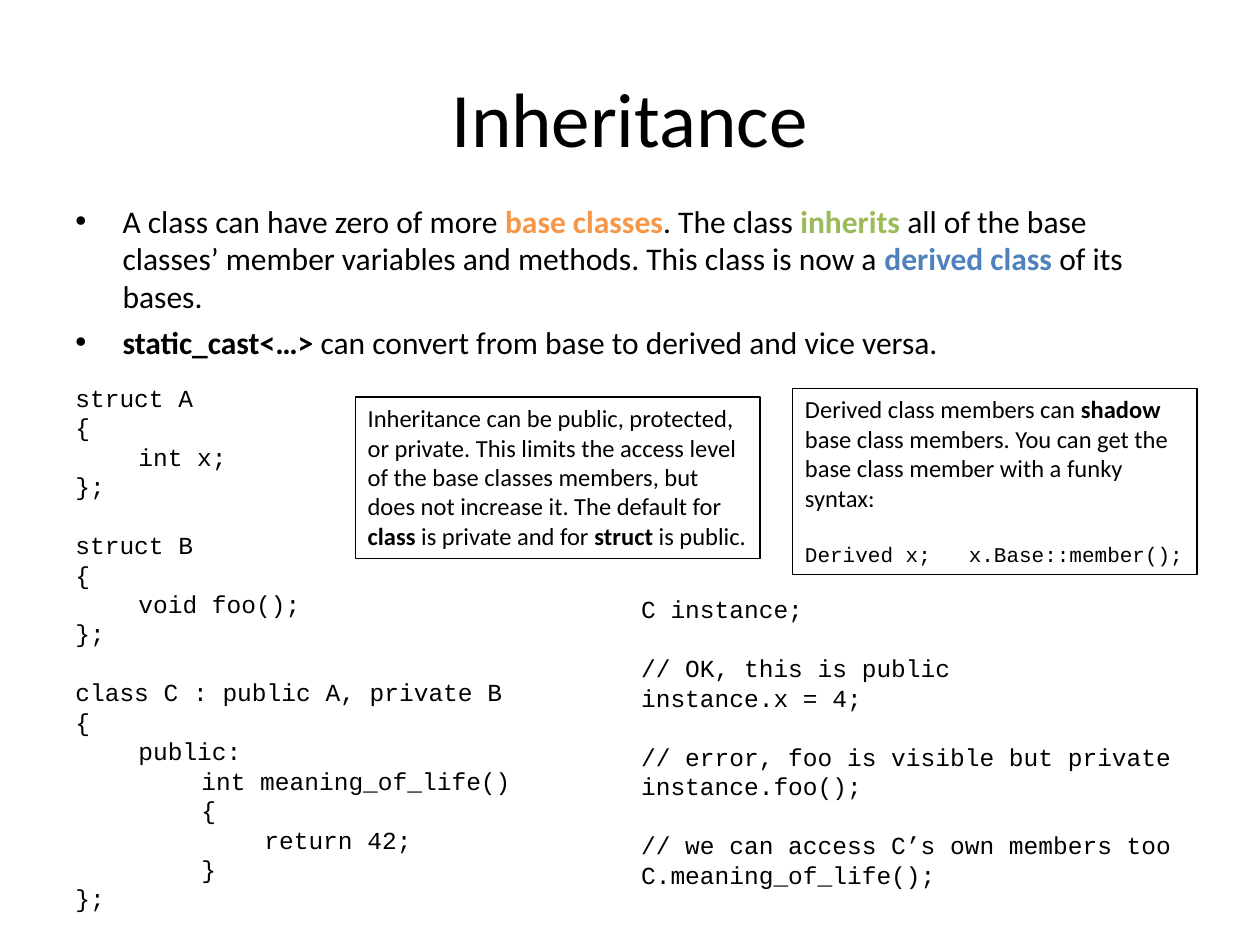
from pptx import Presentation
from pptx.dml.color import RGBColor
from pptx.enum import shapes, text
from pptx.oxml import xmlchemy as x
from pptx.util import Pt
from lxml import etree

BLACK = RGBColor(0x00, 0x00, 0x00)
ORANGE = RGBColor(0xF7, 0x96, 0x46)
GREEN = RGBColor(0x9B, 0xBB, 0x59)
BLUE = RGBColor(0x4F, 0x81, 0xBD)
SANS, MONO = "Calibri", "Courier New"
INDENT = 36
BULLET_INDENT = 27
GAP = 16.9

BULLETS = [
    [("A class can have zero of more ",), ("base classes", ORANGE),
     (". The class ",), ("inherits ", GREEN),
     ("all of the base classes’ member variables and methods. "
      "This class is now a ",), ("derived class", BLUE), (" of its bases.",)],
    [("static_cast<…>", BLACK),
     (" can convert from base to derived and vice versa.",)],
]

# Each block is a list of (indent level, line).
CLASS_CODE = [
    [(0, "struct A"), (0, "{"), (1, "int x;"), (0, "};")],
    [(0, "struct B"), (0, "{"), (1, "void foo();"), (0, "};")],
    [(0, "class C : public A, private B"), (0, "{"), (1, "public:"),
     (2, "int meaning_of_life()"), (2, "{"), (3, "return 42;"), (2, "}"),
     (0, "};")],
]
USAGE_CODE = [
    [(0, "C instance;")],
    [(0, "// OK, this is public"), (0, "instance.x = 4;")],
    [(0, "// error, foo is visible but private"), (0, "instance.foo();")],
    [(0, "// we can access C’s own members too"),
     (0, "C.meaning_of_life();")],
]

ACCESS_NOTE = [
    ("Inheritance can be public, protected, or private. This limits the "
     "access level of the base classes members, but does not increase it. "
     "The default for ",), ("class", BLACK), (" is private and for ",),
    ("struct", BLACK), (" is public.",)]
SHADOW_NOTE = [
    ("Derived class members can ",), ("shadow ", BLACK),
    ("base class members. You can get the base class member with a funky "
     "syntax:",)]


def add_run(p, words, size, font=SANS, color=BLACK, bold=False):
    """Append one formatted run to a paragraph."""
    r = p.add_run()
    r.text = words
    r.font.size, r.font.name, r.font.bold = Pt(size), font, bold
    r.font.color.rgb = color


def add_rich(p, parts, size):
    """Append parts; a part that names a colour is emphasised in bold."""
    for words, *emphasis in parts:
        add_run(p, words, size, color=emphasis[0] if emphasis else BLACK,
                bold=bool(emphasis))


def next_paragraph(tf):
    """Return the unused first paragraph, or a new one."""
    first = tf.paragraphs[0]
    return tf.add_paragraph() if first.runs else first


def sub(parent, tag, **attrs):
    """Append a DrawingML child element."""
    ns = "{http://schemas.openxmlformats.org/drawingml/2006/main}"
    return etree.SubElement(parent, ns + tag, attrs)


def set_indent(p, left, first=0):
    """Set the left margin and first-line indent; return the properties."""
    props = p._p.get_or_add_pPr()
    props.set("marL", str(Pt(left)))
    props.set("indent", str(Pt(first)))
    return props


def add_box(s, *frame):
    """Add a wrapping text box and return its text frame."""
    tf = s.shapes.add_textbox(*map(Pt, frame)).text_frame
    tf.word_wrap = True
    return tf


def add_title(s, words):
    """Add the centred slide title."""
    tf = add_box(s, 36, 21.6, 648, 90)
    tf.vertical_anchor = text.MSO_ANCHOR.MIDDLE
    tf.paragraphs[0].alignment = text.PP_ALIGN.CENTER
    add_run(tf.paragraphs[0], words, 44)


def add_bullets(s, items):
    """Add the bulleted body text."""
    tf = add_box(s, 36, 111.6, 648, 356.4)
    for i, parts in enumerate(items):
        p = next_paragraph(tf)
        p.space_before = Pt(4.4 if i else 0)
        props = set_indent(p, BULLET_INDENT, -BULLET_INDENT)
        sub(props, "buFont", typeface="Arial")
        sub(props, "buChar", char="•")
        add_rich(p, parts, 18)


def add_code(s, blocks, *frame):
    """Add code whose blocks are set apart by one line of space."""
    tf = add_box(s, *frame)
    for b, block in enumerate(blocks):
        for i, (level, line) in enumerate(block):
            p = next_paragraph(tf)
            set_indent(p, level * INDENT)
            if b and i == 0:
                p.space_before = Pt(GAP)
            add_run(p, line, 14, MONO)


def add_note(s, parts, *frame):
    """Add an outlined note and return its text frame."""
    sp = s.shapes.add_shape(shapes.MSO_SHAPE.RECTANGLE, *map(Pt, frame))
    sp.shadow.inherit = False
    sp.fill.background()
    sp.line.color.rgb, sp.line.width = BLACK, Pt(0.75)
    tf = sp.text_frame
    tf.word_wrap = True
    tf.vertical_anchor = text.MSO_ANCHOR.TOP
    tf.paragraphs[0].alignment = text.PP_ALIGN.LEFT
    add_rich(tf.paragraphs[0], parts, 14)
    return tf


def add_example(tf, left, right):
    """Add a code line whose second part starts at a tab stop."""
    p = tf.add_paragraph()
    p.alignment = text.PP_ALIGN.LEFT
    p.space_before = Pt(GAP)
    tabs = sub(p._p.get_or_add_pPr(), "tabLst")
    sub(tabs, "tab", pos=str(Pt(93.6)), algn="l")
    add_run(p, left + "\t" + right, 12, MONO)


def main():
    """Build and save the slide."""
    prs = Presentation()
    prs.slide_width, prs.slide_height = Pt(720), Pt(540)
    s = prs.slides.add_slide(prs.slide_layouts[6])
    add_title(s, "Inheritance")
    add_bullets(s, BULLETS)
    add_code(s, CLASS_CODE, 36, 215.3, 265.7, 329.8)
    add_code(s, USAGE_CODE, 359.3, 336.2, 319.7, 177.1)
    add_note(s, ACCESS_NOTE, 203, 226.8, 231.4, 92.2)
    tf = add_note(s, SHADOW_NOTE, 452.9, 221.8, 231.1, 106.6)
    add_example(tf, "Derived x;", "x.Base::member();")
    prs.save("out.pptx")


main()
